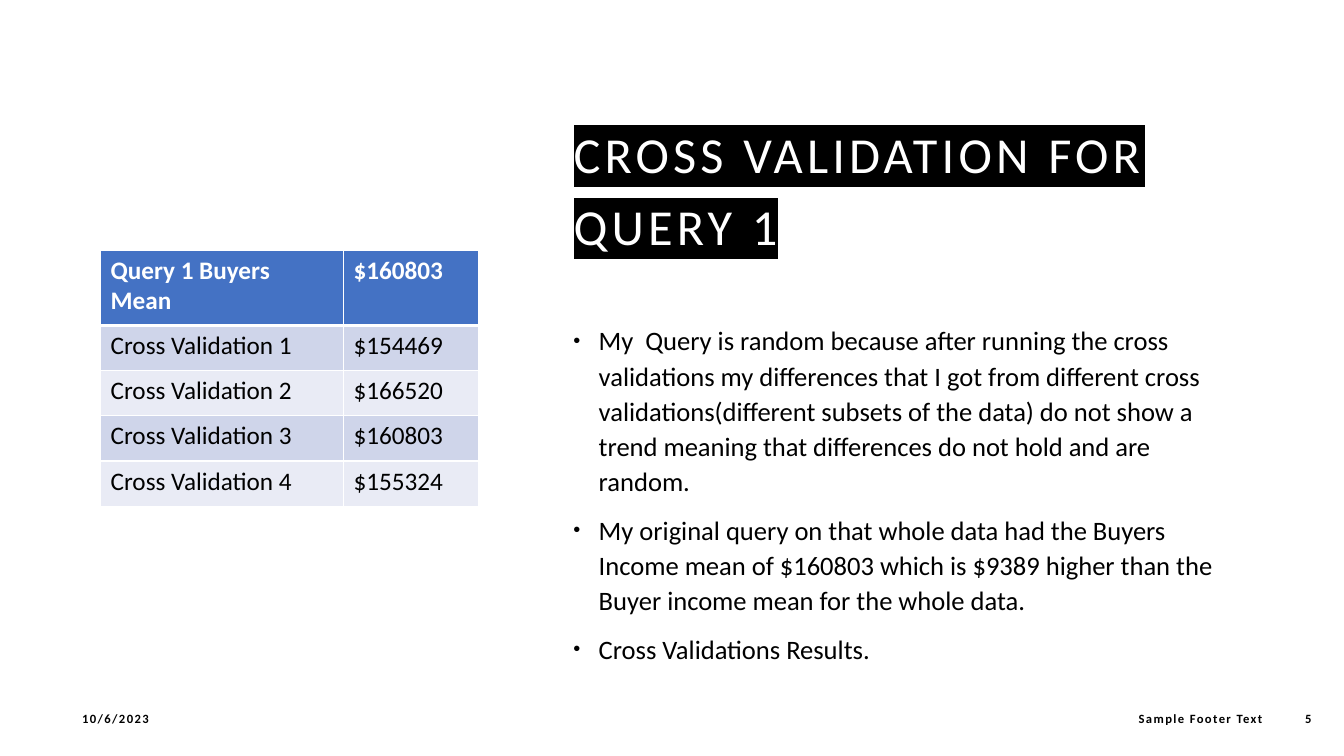
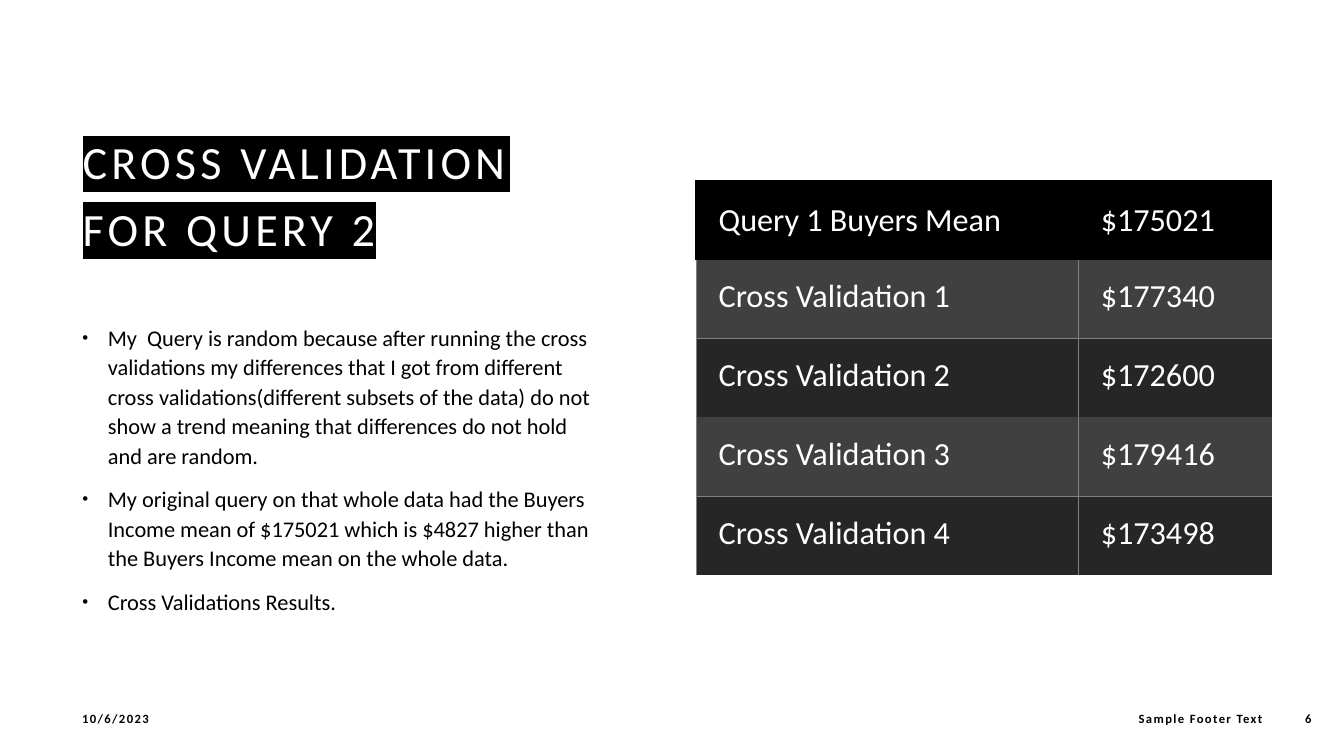
from lxml.etree import SubElement as Sub
from pptx import Presentation
from pptx.dml.color import RGBColor
from pptx.enum.text import MSO_ANCHOR as Anchor, MSO_AUTO_SIZE as Fit, PP_ALIGN as Align
from pptx.oxml.ns import qn
from pptx.util import Cm, Pt

hue = RGBColor.from_string
BLACK, WHITE, GREY = "000000", "FFFFFF", "808080"
FOOT = {"size": Pt(9), "bold": True}
LEFT = {"alignment": Align.LEFT}
BULLET = {"alignment": Align.LEFT, "line_spacing": 1.1, "space_before": Pt(10)}


def write(frame, lines, color, font, form=LEFT, track=0):
    frame.word_wrap = True
    for i, line in enumerate(lines):
        para = frame.add_paragraph() if i else frame.paragraphs[0]
        for key, val in form.items():
            setattr(para, key, val)
        run = para.add_run()
        run.text = line
        for key, val in {"name": "Calibri", "bold": False, **font}.items():
            setattr(run.font, key, val)
        run.font.color.rgb = hue(color)
        if track:
            run.font._element.set("spc", str(track * 100))


def edge(cell, lines):
    props = cell._tc.get_or_add_tcPr()
    for i, side in enumerate("LRTB"):
        color, width = lines.get(side, (None, 0))
        line = props.makeelement(qn("a:ln" + side), {"w": str(Pt(width))})
        if color:
            fill = Sub(line, qn("a:solidFill"))
            Sub(fill, qn("a:srgbClr"), val=color)
        else:
            Sub(line, qn("a:noFill"))
        props.insert(i, line)


RANDOM = ("My  Query is random because after running the cross validations my "
          "differences that I got from different cross validations(different subsets "
          "of the data) do not show a trend meaning that differences do not hold and "
          "are random.")
WHOLE = "My original query on that whole data had the Buyers Income mean of "
LABELS = ["Query 1 Buyers Mean"] + [f"Cross Validation {n}" for n in range(1, 5)]

PAGES = [
    {"num": "5", "title": "CROSS VALIDATION FOR QUERY 1", "left": 14.2, "width": 17.12,
     "head": 36, "text": 19,
     "result": "$160803 which is $9389 higher than the Buyer income mean for the whole data.",
     "means": ["$160803", "$154469", "$166520", "$160803", "$155324"],
     "grid": (2.54, 6.3), "cols": (6.12, 3.4), "rows": [1.9] + [1.14] * 4,
     "fills": ["4472C4"] + ["CFD5EA", "E9EBF5"] * 2, "ink": BLACK, "size": 18,
     "bold": True, "anchor": Anchor.TOP, "pads": (0.25, 0.25, 0.13, 0.13), "dark": False},
    {"num": "6", "title": "CROSS VALIDATION FOR QUERY 2", "left": 1.83, "width": 13.31,
     "head": 33, "text": 16,
     "result": "$175021 which is $4827 higher than the Buyers Income mean on the whole data.",
     "means": ["$175021", "$177340", "$172600", "$179416", "$173498"],
     "grid": (17.55, 4.55), "cols": (9.63, 4.88), "rows": [1.99] * 5,
     "fills": [BLACK] + ["404040", "262626"] * 2, "ink": WHITE, "size": 23,
     "bold": False, "anchor": Anchor.MIDDLE, "pads": (0.56, 0.61, 0.43, 0.43), "dark": True},
]

deck = Presentation()
deck.slide_width, deck.slide_height = Cm(33.87), Cm(19.05)

for page in PAGES:
    slide = deck.slides.add_slide(deck.slide_layouts[5])
    shapes = slide.shapes
    left, width = Cm(page["left"]), Cm(page["width"])

    title = shapes.title
    place = {"left": left, "top": Cm(2.54), "width": width, "height": Cm(4.03)}
    for key, val in place.items():
        setattr(title, key, val)
    frame = title.text_frame
    frame.auto_size, frame.vertical_anchor = Fit.NONE, Anchor.BOTTOM
    write(frame, [page["title"]], WHITE, {"size": Pt(page["head"])},
          {"alignment": Align.LEFT, "line_spacing": 1.2}, 3)
    props = frame.paragraphs[0].runs[0].font._element
    mark = props.makeelement(qn("a:highlight"), {})
    Sub(mark, qn("a:srgbClr"), val=BLACK)
    props.find(qn("a:solidFill")).addnext(mark)

    body = shapes.add_textbox(left, Cm(7.97), width, Cm(9.27)).text_frame
    points = [RANDOM, WHOLE + page["result"], "Cross Validations Results."]
    write(body, points, BLACK, {"size": Pt(page["text"])}, BULLET)
    for para in body.paragraphs:
        props = para._p.get_or_add_pPr()
        props.set("marL", str(Cm(0.64)))
        props.set("indent", str(-Cm(0.64)))
        Sub(Sub(props, qn("a:buClr")), qn("a:srgbClr"), val=BLACK)
        Sub(props, qn("a:buSzPct"), val="75000")
        Sub(props, qn("a:buFont"), typeface="Arial")
        Sub(props, qn("a:buChar"), char="•")

    for text, x, wide, align in [("10/6/2023", 1.82, 8.35, Align.LEFT),
                                 ("Sample Footer Text", 22.33, 9.73, Align.RIGHT),
                                 (page["num"], 31.8, 1.5, Align.RIGHT)]:
        frame = shapes.add_textbox(Cm(x), Cm(17.6), Cm(wide), Cm(1.02)).text_frame
        frame.vertical_anchor = Anchor.MIDDLE
        write(frame, [text], BLACK, FOOT, {"alignment": align, "space_after": Pt(6)}, 1)

    x, y = page["grid"]
    table = shapes.add_table(5, 2, Cm(x), Cm(y), Cm(sum(page["cols"])),
                             Cm(sum(page["rows"]))).table
    for col, wide in zip(table.columns, page["cols"]):
        col.width = Cm(wide)
    for row, high in zip(table.rows, page["rows"]):
        row.height = Cm(high)
    sides = ("margin_left", "margin_right", "margin_top", "margin_bottom")
    for r, pair in enumerate(zip(LABELS, page["means"])):
        top = r == 0
        for c, text in enumerate(pair):
            cell = table.cell(r, c)
            for side, pad in zip(sides, page["pads"]):
                setattr(cell, side, Cm(pad))
            cell.vertical_anchor = page["anchor"] if top else Anchor.TOP
            cell.fill.solid()
            cell.fill.fore_color.rgb = hue(page["fills"][r])
            write(cell.text_frame, [text], WHITE if top else page["ink"],
                  {"size": Pt(page["size"]), "bold": top and page["bold"]})
            if not page["dark"]:
                lines = dict.fromkeys("LRTB", (WHITE, 1))
                if r < 2:
                    lines["B" if top else "T"] = (WHITE, 3)
            elif top:
                lines = dict.fromkeys("T" if c else "LT", (BLACK, 1.5))
            else:
                names = ("B" if r % 2 else "T") + ("L" if c else "LR")
                lines = dict.fromkeys(names, (GREY, 0.5))
            edge(cell, lines)

deck.save("out.pptx")
